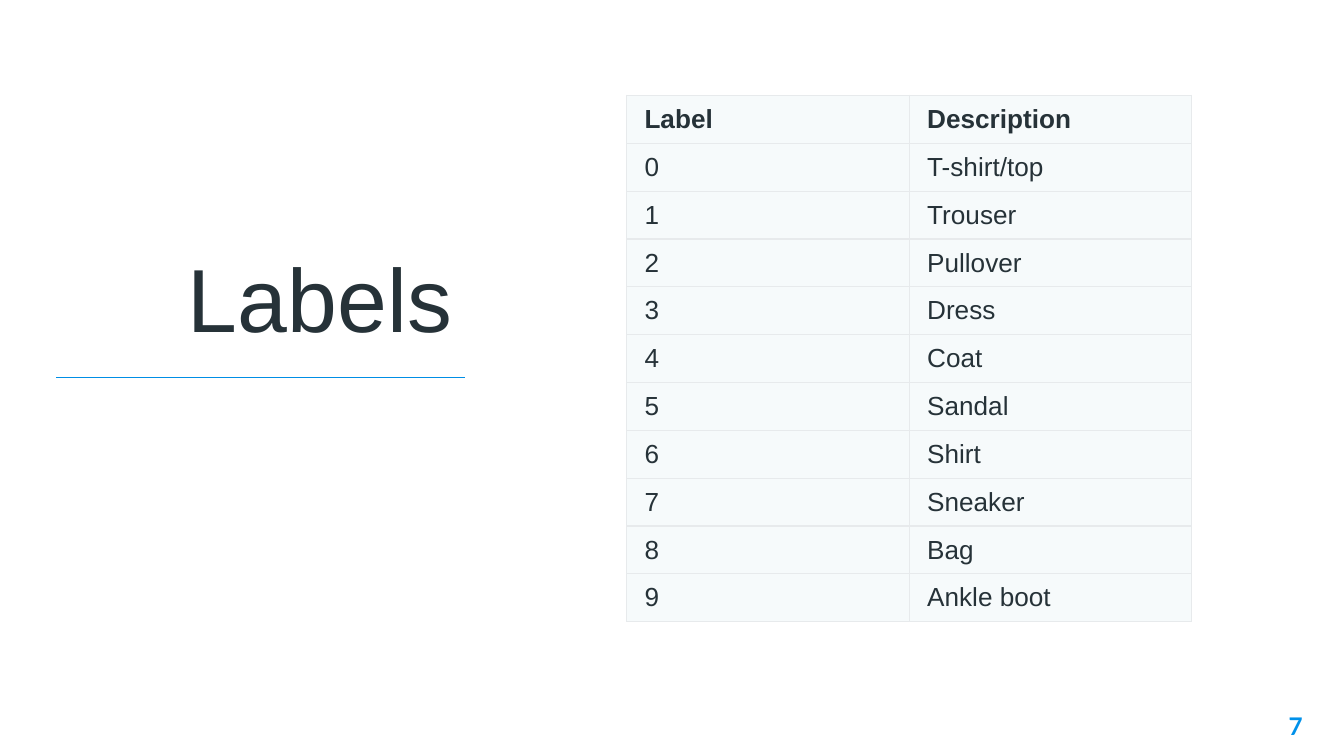
from typing import NamedTuple

from lxml.etree import SubElement
from pptx import Presentation
from pptx.dml.color import RGBColor
from pptx.enum.shapes import MSO_CONNECTOR as Connector
from pptx.enum.text import MSO_ANCHOR as Anchor, PP_ALIGN as Align
from pptx.oxml.ns import qn
from pptx.util import Pt

INK, BLUE, RULE_BLUE = "263238", "0091EA", "008EE5"
CELL_FILL, BORDER = "F6FAFB", "E7EAEC"
ROW_HEIGHT, COL_WIDTH = 25.6, 151.4


class Box(NamedTuple):
    left: float
    top: float
    width: float
    height: float

    def lengths(self) -> list:
        return [Pt(v) for v in self]


class Item(NamedTuple):
    label: str
    description: str


NAMES = ["T-shirt/top", "Trouser", "Pullover", "Dress", "Coat",
         "Sandal", "Shirt", "Sneaker", "Bag", "Ankle boot"]
ROWS = [Item("Label", "Description")]
ROWS += [Item(str(i), name) for i, name in enumerate(NAMES)]


def rgb(value: str) -> RGBColor:
    return RGBColor.from_string(value)


def write(tf, text: str, *, size: float, font: str = "Arial", color: str = INK,
          bold: bool = False, align=Align.LEFT, anchor=Anchor.TOP,
          margins: tuple = (7.2, 3.6), spacing: float = 1, after: float = 0):
    """Fill a text frame with one formatted paragraph; margins are (side, top)."""
    tf.word_wrap = True
    tf.vertical_anchor = anchor
    tf.margin_left = tf.margin_right = Pt(margins[0])
    tf.margin_top = tf.margin_bottom = Pt(margins[1])
    p = tf.paragraphs[0]
    p.alignment, p.line_spacing, p.space_after = align, spacing, Pt(after)
    r = p.add_run()
    r.text = text
    r.font.name, r.font.size, r.font.bold = font, Pt(size), bold
    r.font.color.rgb = rgb(color)


def add_text(s, box: Box, text: str, **fmt) -> None:
    write(s.shapes.add_textbox(*box.lengths()).text_frame, text, **fmt)


def set_borders(cell, color: str, width: float) -> None:
    tc_pr = cell._tc.get_or_add_tcPr()
    for i, side in enumerate(("lnL", "lnR", "lnT", "lnB")):
        ln = tc_pr.makeelement(qn(f"a:{side}"), {"w": str(Pt(width))})
        fill = SubElement(ln, qn("a:solidFill"))
        SubElement(fill, qn("a:srgbClr"), val=color)
        tc_pr.insert(i, ln)


def add_label_table(s, left: float, top: float, rows: list[Item]) -> None:
    n_cols = len(Item._fields)
    box = Box(left, top, COL_WIDTH * n_cols, ROW_HEIGHT * len(rows))
    table = s.shapes.add_table(len(rows), n_cols, *box.lengths()).table
    table.horz_banding = False
    for col in table.columns:
        col.width = Pt(COL_WIDTH)
    for i, item in enumerate(rows):
        table.rows[i].height = Pt(ROW_HEIGHT)
        for j, text in enumerate(item):
            cell = table.cell(i, j)
            cell.fill.solid()
            cell.fill.fore_color.rgb = rgb(CELL_FILL)
            set_borders(cell, BORDER, 0.75)
            write(cell.text_frame, text, size=14, bold=i == 0)
            cell.vertical_anchor = Anchor.MIDDLE
            cell.margin_left = cell.margin_right = Pt(9.6)
            cell.margin_top = cell.margin_bottom = Pt(4.4)


def add_rule(s, left: float, right: float, y: float) -> None:
    line = s.shapes.add_connector(Connector.STRAIGHT, Pt(left), Pt(y), Pt(right), Pt(y))
    line.line.color.rgb = rgb(RULE_BLUE)
    line.line.width = Pt(0.75)
    SubElement(line._element.spPr, qn("a:effectLst"))


def main() -> None:
    prs = Presentation()
    prs.slide_width, prs.slide_height = Pt(720), Pt(405)
    s = prs.slides.add_slide(prs.slide_layouts[6])
    add_text(s, Box(661.7, 373.7, 43.2, 31), "7", size=13, font="Lato", color=BLUE,
             bold=True, align=Align.RIGHT, margins=(7.2, 7.2))
    add_label_table(s, 335.7, 51.2, ROWS)
    add_text(s, Box(31, 44.6, 218.2, 147.6), "Labels", size=48, align=Align.RIGHT,
             anchor=Anchor.BOTTOM, spacing=0.9, after=6)
    add_rule(s, 30.2, 249.1, 202.3)
    prs.save("out.pptx")


if __name__ == "__main__":
    main()
